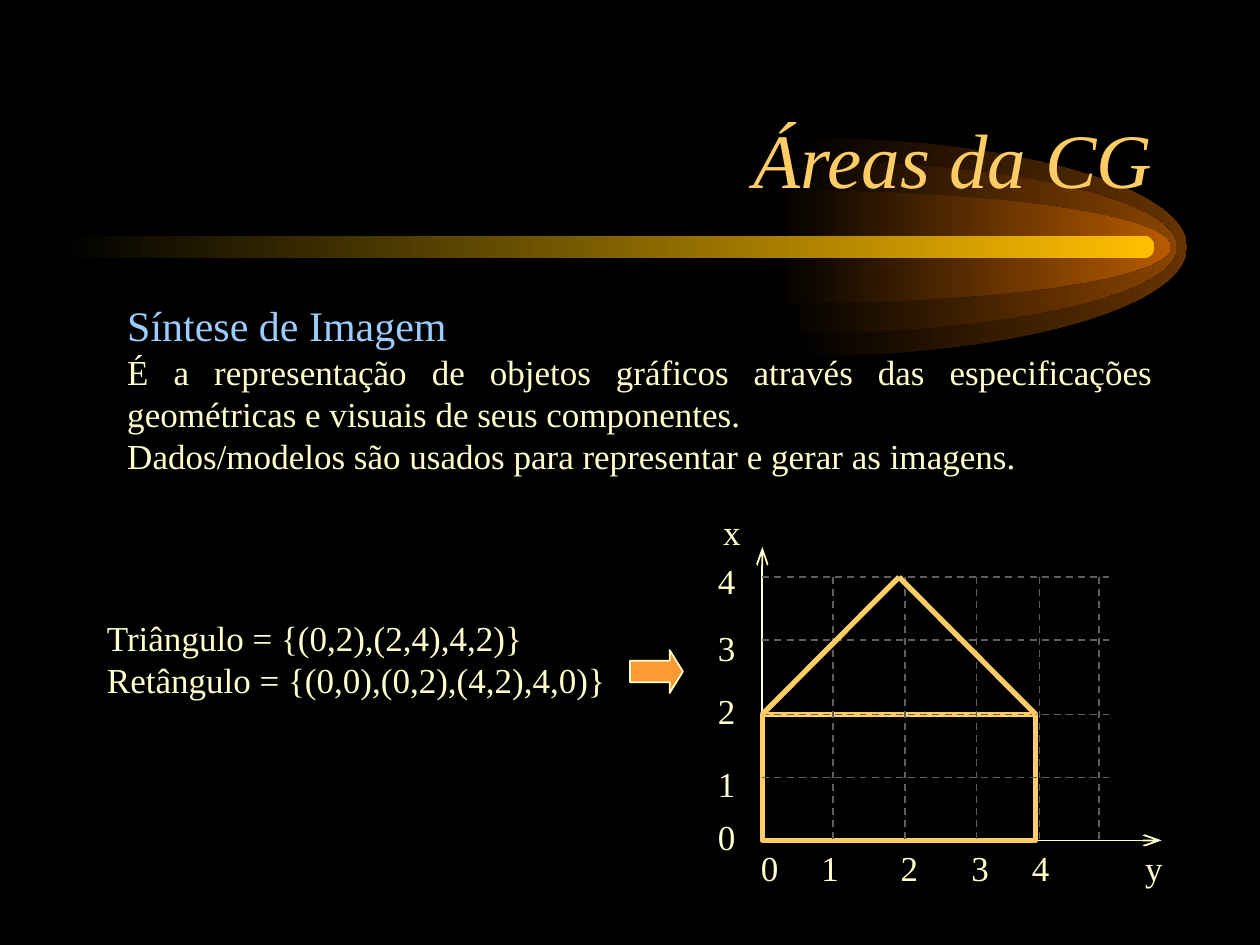
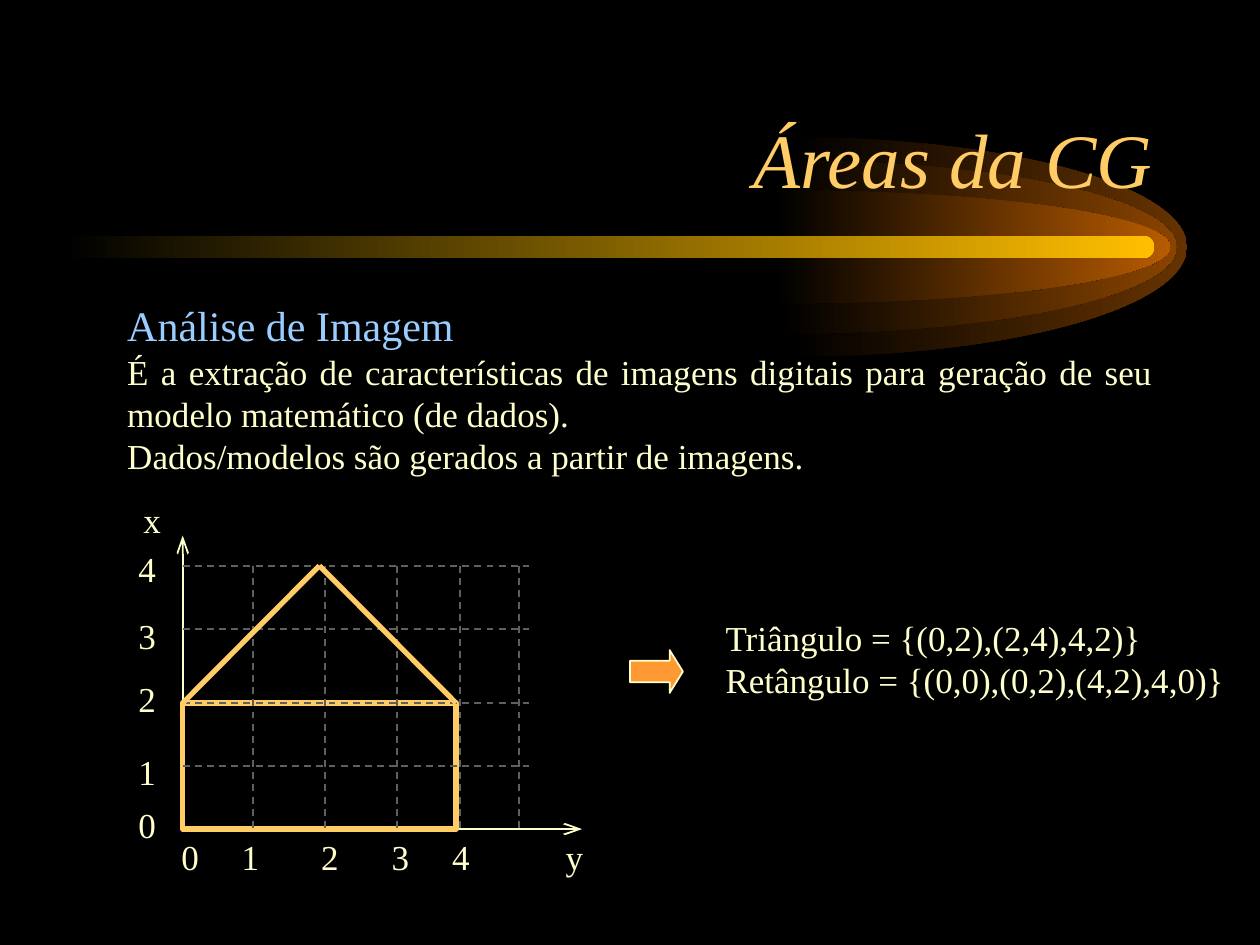
import itertools
from dataclasses import dataclass

import lxml.etree
import pptx
import pptx.dml.color
import pptx.enum.dml
import pptx.enum.shapes
import pptx.enum.text
import pptx.oxml.ns
import pptx.util

Inches = pptx.util.Inches
Pt = pptx.util.Pt
qn = pptx.oxml.ns.qn
ALIGN = pptx.enum.text.PP_ALIGN
ANCHOR = pptx.enum.text.MSO_ANCHOR
SHAPE = pptx.enum.shapes.MSO_SHAPE


@dataclass(frozen=True)
class Theme:
    font: str = "Times New Roman"
    background: str = "000000"
    title: str = "FFCC66"
    heading: str = "99CCFF"
    text: str = "FFFFCC"
    grid: str = "5F5F5F"
    arrow: str = "FF9933"
    bar: str = "FFBF00"
    glows: tuple = ("663300", "894400", "B75B00")
    title_size: int = 44
    heading_size: int = 24
    text_size: int = 20
    thin: int = 1
    thick: int = 3


THEME = Theme()
PLOT_SIZE = (3.17, 2.33)
FORMULAS = ["Triângulo = {(0,2),(2,4),4,2)}",
            "Retângulo = {(0,0),(0,2),(4,2),4,0)}"]


def rgb(color):
    return pptx.dml.color.RGBColor.from_string(color)


def add_xml(parent, tag, **attributes):
    return lxml.etree.SubElement(parent, qn(tag), attributes)


# Text
def add_text(frame, text, size=THEME.text_size, color=THEME.text, italic=False,
             align=ALIGN.LEFT, bulleted_style=False, tabs=(), first=True):
    """Write one paragraph, clearing an inherited bullet where there is one."""
    paragraph = frame.paragraphs[0] if first else frame.add_paragraph()
    properties = paragraph._p.get_or_add_pPr()
    if bulleted_style:
        properties.set("marL", "0")
        properties.set("indent", "0")
        add_xml(properties, "a:buNone")
    if tabs:
        stops = add_xml(properties, "a:tabLst")
        for position in tabs:
            add_xml(stops, "a:tab", pos=str(Inches(position)), algn="l")
    paragraph.alignment = align
    paragraph.space_before = Pt(0)
    run = paragraph.add_run()
    run.text = text
    run.font.name = THEME.font
    run.font.size = Pt(size)
    run.font.italic = italic
    run.font.color.rgb = rgb(color)


def add_label(shapes, lines, left, top, width=0.4, height=0.44, tabs=()):
    box = shapes.add_textbox(*map(Inches, (left, top, width, height)))
    box.text_frame.word_wrap = True
    for index, line in enumerate(lines):
        add_text(box.text_frame, line, tabs=tabs, first=index == 0)


def fill_placeholder(placeholder, box, anchor):
    placeholder.left, placeholder.top, placeholder.width, placeholder.height = map(Inches, box)
    frame = placeholder.text_frame
    frame.word_wrap = True
    frame.auto_size = pptx.enum.text.MSO_AUTO_SIZE.NONE
    frame.vertical_anchor = anchor
    return frame


# Lines and fills
def add_line(shapes, start, end, color, width=THEME.thin, dashed=False, arrow=False):
    line = shapes.add_connector(pptx.enum.shapes.MSO_CONNECTOR.STRAIGHT,
                                *map(Inches, (*start, *end)))
    line.line.color.rgb = rgb(color)
    line.line.width = Pt(width)
    if dashed:
        line.line.dash_style = pptx.enum.dml.MSO_LINE.DASH
    if arrow:
        add_xml(line.line._get_or_add_ln(), "a:tailEnd", type="arrow", len="lg")
    add_xml(line._element.spPr, "a:effectLst")


def fade_from_background(shape, color):
    shape.shadow.inherit = False
    shape.line.fill.background()
    shape.fill.gradient()
    shape.fill.gradient_angle = 0
    for stop, stop_color in zip(shape.fill.gradient_stops, (THEME.background, color)):
        stop.color.rgb = rgb(stop_color)


# Comet shared by all slides
def add_glow(shapes, center_x, center_y, radius_x, radius_y, color):
    """Draw the right half of an ellipse: two sides bent into quarter arcs."""
    builder = shapes.build_freeform(Inches(center_x), Inches(center_y - radius_y))
    builder.add_line_segments([(Inches(center_x + radius_x), Inches(center_y)),
                               (Inches(center_x), Inches(center_y + radius_y))], close=True)
    glow = builder.convert_to_shape()
    for side, start_angle in zip(list(glow.element.iter(qn("a:lnTo"))), (16200000, 0)):
        outline = side.getparent()
        arc = add_xml(outline, "a:arcTo", wR=str(Inches(radius_x)), hR=str(Inches(radius_y)),
                      stAng=str(start_angle), swAng="5400000")
        outline.replace(side, arc)
    fade_from_background(glow, color)


def add_comet(shapes, left, top, width, height):
    middle = top + height / 2
    for center_x, radius_y, color in zip((6.29, 6.21, 6.16), (0.87, 0.69, 0.45), THEME.glows):
        add_glow(shapes, center_x, middle, 3.13, radius_y, color)
    bar = shapes.add_shape(SHAPE.ROUNDED_RECTANGLE, *map(Inches, (left, top, width, height)))
    bar.adjustments[0] = 0.5
    fade_from_background(bar, THEME.bar)


def set_master(master, slide):
    master.background.fill.solid()
    master.background.fill.fore_color.rgb = rgb(THEME.background)
    comet = slide.shapes.add_group_shape()
    add_comet(comet.shapes, 0.5, 1.87, 8.66, 0.18)
    master.shapes.element.insert(2, comet.element)


# House drawn on a coordinate grid
def add_house_plot(shapes, left, top, width, height):
    plot = shapes.add_group_shape().shapes
    base = top + height
    rows = [base - rise for rise in (0.5, 1, 1.59, 2.09)]
    columns = [left + run for run in (0.56, 1.13, 1.7, 2.2, 2.67)]
    eaves, ridge = rows[1], rows[3]
    house_width = 2.17

    # Axes
    for end in ((left + width, base), (left, top)):
        add_line(plot, (left, base), end, THEME.text, arrow=True)

    # Walls, grid and roof
    walls = plot.add_shape(SHAPE.RECTANGLE,
                           *map(Inches, (left, eaves, house_width, base - eaves)))
    walls.shadow.inherit = False
    walls.fill.background()
    walls.line.color.rgb = rgb(THEME.title)
    walls.line.width = Pt(THEME.thick)
    grid = itertools.chain(
        (((left, row), (left + 2.75, row)) for row in rows),
        (((column, ridge), (column, base)) for column in columns))
    for start, end in grid:
        add_line(plot, start, end, THEME.grid, dashed=True)
    apex = (left + house_width / 2, ridge)
    add_line(plot, (left, eaves), apex, THEME.title, THEME.thick)
    add_line(plot, apex, (left + house_width, eaves), THEME.title, THEME.thick)

    # Axis labels
    add_label(plot, ["0\t1\t2\t3\t4\ty"], left - 0.11, base, width=3.45,
              tabs=(0.48, 1.11, 1.67, 2.15, 3.05))
    for number, rise in enumerate((0.25, 0.67, 1.25, 1.75, 2.28)):
        add_label(plot, [str(number)], left - 0.45, base - rise)
    add_label(plot, ["x"], left - 0.41, base - 2.67)


def add_flow_arrow(shapes, left, top, width, height):
    arrow = shapes.add_shape(SHAPE.RIGHT_ARROW, *map(Inches, (left, top, width, height)))
    arrow.adjustments[1] = 0.31
    arrow.shadow.inherit = False
    arrow.fill.solid()
    arrow.fill.fore_color.rgb = rgb(THEME.arrow)
    arrow.line.color.rgb = rgb(THEME.text)
    arrow.line.width = Pt(THEME.thin)


def add_area_slide(presentation, heading, statements, formulas_left, plot_origin):
    slide = presentation.slides.add_slide(presentation.slide_layouts[1])
    title = fill_placeholder(slide.shapes.title, (0.75, 0.42, 8.5, 1.25), ANCHOR.BOTTOM)
    add_text(title, "Áreas da CG", size=THEME.title_size, color=THEME.title,
             italic=True, align=ALIGN.RIGHT)
    body = fill_placeholder(slide.placeholders[1], (0.91, 2.33, 8.34, 1.5), ANCHOR.TOP)
    add_text(body, heading, size=THEME.heading_size, color=THEME.heading,
             align=ALIGN.JUSTIFY, bulleted_style=True)
    for statement in statements:
        add_text(body, statement, align=ALIGN.JUSTIFY, bulleted_style=True, first=False)
    add_label(slide.shapes, FORMULAS, formulas_left, 4.84, 4.25, 0.77)
    add_house_plot(slide.shapes, *plot_origin, *PLOT_SIZE)
    add_flow_arrow(slide.shapes, 5, 5.16, 0.42, 0.34)
    return slide


def main():
    presentation = pptx.Presentation()
    presentation.slide_width = Inches(10)
    presentation.slide_height = Inches(7.5)
    synthesis = add_area_slide(
        presentation, "Síntese de Imagem",
        ["É a representação de objetos gráficos através das especificações "
         "geométricas e visuais de seus componentes.",
         "Dados/modelos são usados para representar e gerar as imagens."],
        formulas_left=0.75, plot_origin=(6.05, 4.34))
    set_master(presentation.slide_master, synthesis)
    add_area_slide(
        presentation, "Análise de Imagem",
        ["É a extração de características de imagens digitais para geração de seu "
         "modelo matemático (de dados).",
         "Dados/modelos são gerados a partir de imagens."],
        formulas_left=5.66, plot_origin=(1.45, 4.25))
    presentation.save("out.pptx")


if __name__ == "__main__":
    main()
